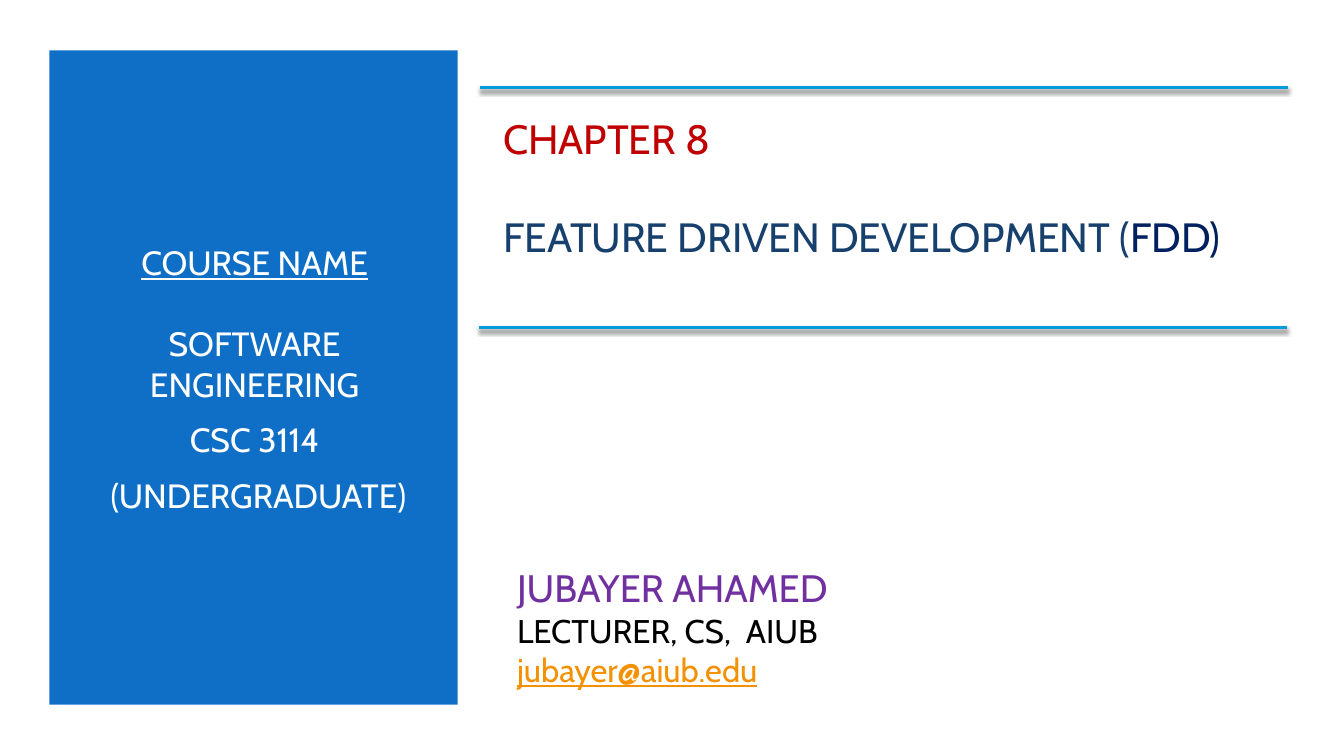
"""Builds the opening slide of the chapter on feature driven development."""
from lxml import etree
from pptx import Presentation
from pptx.dml.color import RGBColor
from pptx.enum.shapes import MSO_CONNECTOR, MSO_SHAPE
from pptx.enum.text import MSO_ANCHOR, MSO_AUTO_SIZE, PP_ALIGN
from pptx.oxml import parse_xml
from pptx.util import Inches, Pt

LEFT, CENTER = PP_ALIGN.LEFT, PP_ALIGN.CENTER
MIDDLE, NO_FIT = MSO_ANCHOR.MIDDLE, MSO_AUTO_SIZE.NONE
RECTANGLE, STRAIGHT = MSO_SHAPE.RECTANGLE, MSO_CONNECTOR.STRAIGHT
FONT = "Cabin"
DRAWING_NS = "http://schemas.openxmlformats.org/drawingml/2006/main"
RULE_SHADOW = (
    f'<a:effectLst xmlns:a="{DRAWING_NS}">'
    '<a:outerShdw blurRad="38100" dist="25400" dir="5400000" rotWithShape="0">'
    '<a:srgbClr val="000000"><a:alpha val="55000"/></a:srgbClr>'
    '</a:outerShdw></a:effectLst>'
)


def color(hex_code):
    return RGBColor.from_string(hex_code)


def write_lines(block, box, align, lines):
    block.left, block.top, block.width, block.height = map(Inches, box)
    frame = block.text_frame
    frame_format = {"word_wrap": True, "auto_size": NO_FIT, "vertical_anchor": MIDDLE}
    for attribute, value in frame_format.items():
        setattr(frame, attribute, value)
    for number, (gap, size, underline, pieces) in enumerate(lines):
        line = frame.add_paragraph() if number else frame.paragraphs[0]
        line_format = {"alignment": align, "space_before": Pt(gap), "space_after": Pt(0)}
        for attribute, value in line_format.items():
            setattr(line, attribute, value)
        for wording, hex_code in pieces:
            piece = line.add_run()
            piece.text = wording
            piece_format = {"name": FONT, "size": Pt(size), "underline": underline}
            for attribute, value in piece_format.items():
                setattr(piece.font, attribute, value)
            piece.font.color.rgb = color(hex_code)


deck = Presentation()
deck.slide_width, deck.slide_height = Inches(13.33), Inches(7.5)
slide = deck.slides.add_slide(deck.slide_layouts[0])
chapter, course = slide.placeholders

course_panel = slide.shapes.add_shape(
    RECTANGLE, Inches(0.49), Inches(0.5), Inches(4.05), Inches(6.49))
course_panel.shadow.inherit = False
course_panel.fill.solid()
course_panel.fill.fore_color.rgb = color("0F6FC6")
course_panel.line.fill.background()
chapter.element.addprevious(course_panel.element)

write_lines(chapter, (4.89, 1.1, 7.85, 1.51), LEFT, [
    (0, 29.2, False, [("CHAPTER 8", "C00000")]),
    (35, 29.2, False, [("FEATURE DRIVEN DEVELOPMENT (", "17406D"), ("FDD)", "002060")]),
])

write_lines(course, (0.84, 1.13, 3.37, 5.25), CENTER, [
    (0, 24, True, [("COURSE NAME", "FFFFFF")]),
    (29, 24, False, [("SOFTWARE ENGINEERING", "FFFFFF")]),
    (10.8, 24, False, [("CSC 3114", "FFFFFF")]),
    (10.8, 24, False, [(" (UNDERGRADUATE)", "FFFFFF")]),
])

for rule_left, rule_top in ((4.76, 0.87), (4.75, 3.25)):
    rule = slide.shapes.add_connector(
        STRAIGHT, Inches(rule_left), Inches(rule_top),
        Inches(rule_left + 8.01), Inches(rule_top))
    rule.line.color.rgb = color("009DD9")
    rule.line.width = Pt(2)
    rule_properties = rule.element.find(".//{*}spPr")
    rule_properties.append(parse_xml(RULE_SHADOW))
    etree.SubElement(rule_properties.find("{*}ln"), f"{{{DRAWING_NS}}}round")

lecturer = slide.shapes.add_textbox(0, 0, 0, 0)
write_lines(lecturer, (5.03, 5.44, 6.66, 1.56), LEFT, [
    (0, 27.3, False, [("JUBAYER AHAMED", "7030A0")]),
    (0, 23.4, False, [("LECTURER, CS,  AIUB", "000000")]),
    (0, 23.4, True, [("jubayer@aiub.edu", "F49100")]),
])

deck.save("out.pptx")
